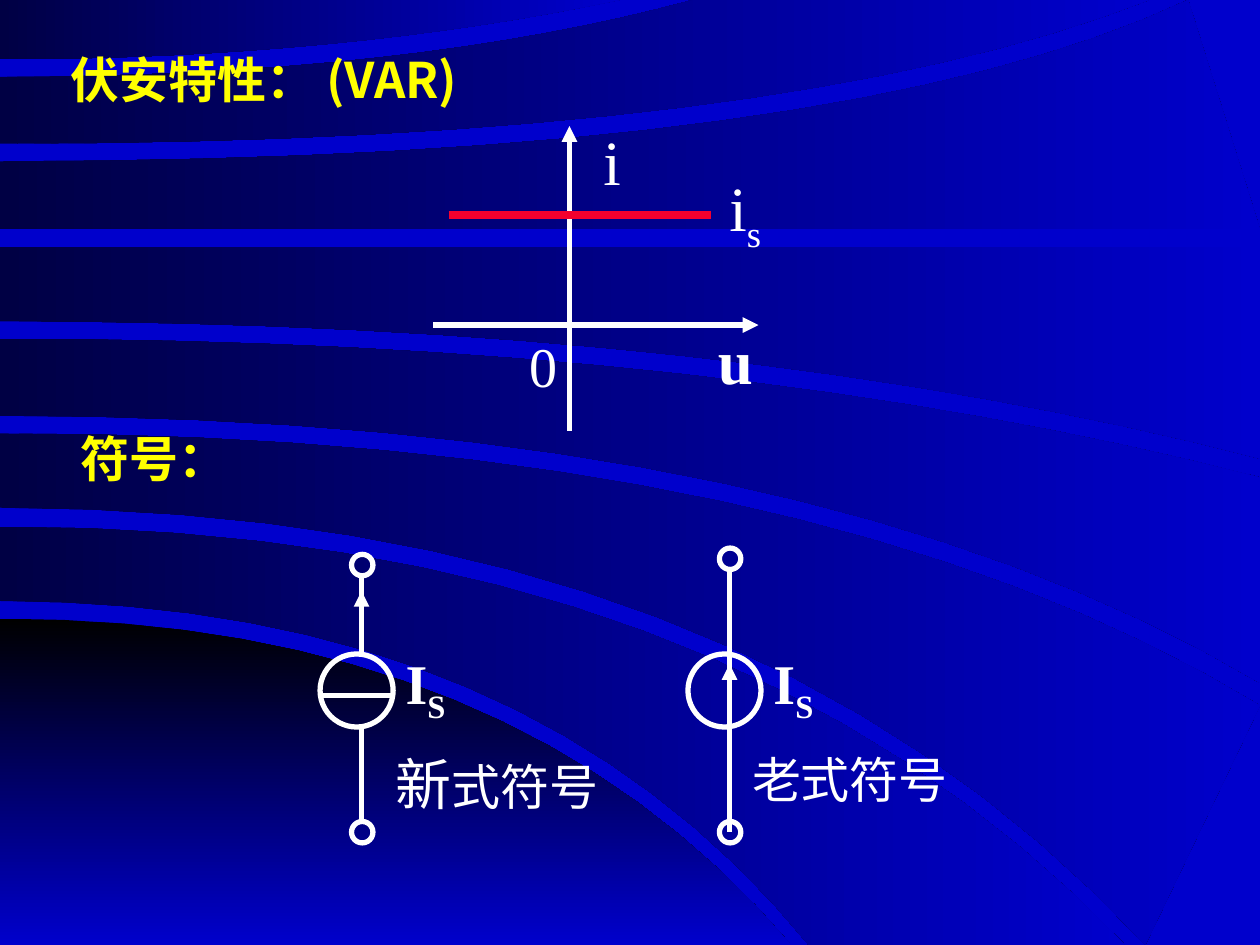
from dataclasses import dataclass

from lxml import etree
from pptx import Presentation
from pptx.dml.color import RGBColor
from pptx.enum.shapes import MSO_CONNECTOR, MSO_SHAPE
from pptx.enum.text import MSO_ANCHOR, MSO_AUTO_SIZE, PP_ALIGN
from pptx.oxml.ns import qn
from pptx.util import Inches, Pt

STRAIGHT = MSO_CONNECTOR.STRAIGHT
OVAL = MSO_SHAPE.OVAL
MIDDLE = MSO_ANCHOR.MIDDLE
LEFT = PP_ALIGN.LEFT
GROW = MSO_AUTO_SIZE.SHAPE_TO_FIT_TEXT


@dataclass(frozen=True)
class Theme:
    white: str = "FFFFFF"
    yellow: str = "FFFF00"
    red: str = "F4002E"
    blue: str = "0000CC"
    navy: str = "000044"
    black: str = "000000"
    latin: str = "Times New Roman"
    asian: str = "Noto Sans CJK SC"
    small: int = 28
    medium: int = 32
    large: int = 36
    stroke: float = 3
    thick: float = 4.5


@dataclass(frozen=True)
class Edge:
    level: float
    bend: float
    end_x: float
    end_y: float

    def points(self, steps=16):
        ratios = [step / steps for step in range(steps + 1)]
        return [(2 * t * (1 - t) * self.bend + t * t * self.end_x,
                 self.level + t * t * (self.end_y - self.level)) for t in ratios]


def flat(level, end):
    return Edge(level, end / 2, end, level)


THEME = Theme()
WIDTH, HEIGHT = 10, 7.5
HILL = (Edge(4.91, 4.07, 6.28, HEIGHT), flat(HEIGHT, 6.28))
BANDS = [
    (Edge(4.18, 5.76, 8.93, HEIGHT), Edge(4.77, 4.2, 6.42, HEIGHT)),
    (Edge(3.44, 6.45, WIDTH, 5.6), Edge(4.03, 5.89, 9.09, HEIGHT)),
    (Edge(2.69, 5.75, WIDTH, 3.79), Edge(3.3, 6.44, WIDTH, 5.42)),
    (flat(1.96, WIDTH), Edge(2.55, 5.82, WIDTH, 3.64)),
    (Edge(1.28, 6.72, 9.43, 0), flat(1.82, WIDTH)),
    (Edge(0.61, 3.26, 5.5, 0), Edge(1.14, 6.22, 9.12, 0)),
    (flat(0, 4.92), Edge(0.47, 2.68, 4.92, 0)),
]


def rgb(color):
    return RGBColor.from_string(color)


def add_area(shapes, edges, start, end, angle):
    upper, lower = edges
    outline = upper.points() + lower.points()[::-1]
    corners = [(Inches(x), Inches(y)) for x, y in outline]
    builder = shapes.build_freeform(*corners[0], scale=1.0)
    builder.add_line_segments(corners[1:], close=True)
    area = builder.convert_to_shape()
    area.shadow.inherit = False
    area.line.fill.background()
    area.fill.gradient()
    area.fill.gradient_angle = angle
    for stop, color in zip(area.fill.gradient_stops, (start, end)):
        stop.color.rgb = rgb(color)


def add_line(shapes, start, end, color=THEME.white, width=THEME.stroke, arrow=False):
    line = shapes.add_connector(STRAIGHT, *map(Inches, start + end))
    line.line.color.rgb = rgb(color)
    line.line.width = Pt(width)
    properties = line.element.spPr
    if arrow:
        etree.SubElement(properties.find(qn("a:ln")), qn("a:tailEnd"), type="triangle")
    etree.SubElement(properties, qn("a:effectLst"))


def add_circle(shapes, left, top, size):
    circle = shapes.add_shape(OVAL, *map(Inches, (left, top, size, size)))
    circle.shadow.inherit = False
    circle.fill.background()
    circle.line.color.rgb = rgb(THEME.white)
    circle.line.width = Pt(THEME.stroke)


def add_span(para, text, size, color=THEME.white, bold=False, latin=THEME.latin, sub=False):
    span = para.add_run()
    span.text = text
    span.font.size = Pt(size)
    span.font.bold = bold
    span.font.name = latin
    span.font.color.rgb = rgb(color)
    properties = span.font._element
    etree.SubElement(properties, qn("a:ea"), typeface=THEME.asian)
    if sub:
        properties.set("baseline", "-25000")


def add_label(shapes, place, spans, **style):
    box = shapes.add_textbox(*map(Inches, place))
    frame = box.text_frame
    frame.word_wrap = True
    frame.auto_size = GROW
    for order, (text, size) in enumerate(spans):
        sub = order > 0 and text.lower() == "s"
        add_span(frame.paragraphs[0], text, size, sub=sub, **style)


def add_title(page, text):
    title = page.shapes.title
    title.left, title.top, title.width, title.height = map(Inches, (0.37, 0, 8.5, 1.25))
    frame = title.text_frame
    frame.vertical_anchor = MIDDLE
    frame.margin_left = Inches(0.19)
    para = frame.paragraphs[0]
    para.alignment = LEFT
    add_span(para, text, THEME.small, THEME.yellow, True, THEME.asian)
    title.element.getparent().append(title.element)


def add_axes(shapes):
    add_label(shapes, (4.1, 2.58, 0.58, 0.63), [("0", THEME.medium)])
    add_line(shapes, (4.52, 3.42), (4.52, 1), arrow=True)
    add_line(shapes, (3.44, 2.58), (6.02, 2.58), arrow=True)
    add_label(shapes, (4.69, 0.92, 0.75, 0.7), [("i", THEME.large)])
    add_label(shapes, (5.6, 2.5, 0.67, 0.7), [("u", THEME.large)], bold=True)


def add_source(shapes, left, terminal_top, wires, arrow, caption_left, caption):
    axis = left + 0.33
    add_circle(shapes, left, 5.19, 0.58)
    for start, end in wires:
        add_line(shapes, (axis, start), (axis, end))
    add_line(shapes, (axis, arrow[0]), (axis, arrow[1]), arrow=True)
    for top in (terminal_top, 6.52):
        add_circle(shapes, left + 0.25, top, 0.17)
    add_label(shapes, (left + 0.58, 5.1, 0.75, 0.63),
              [("I", THEME.medium), ("S", THEME.medium)], bold=True)
    add_label(shapes, (caption_left, 5.9, 2.25, 0.6), caption)


def main():
    deck = Presentation()
    deck.slide_width, deck.slide_height = Inches(WIDTH), Inches(HEIGHT)
    page = deck.slides.add_slide(deck.slide_layouts[5])
    shapes = page.shapes
    page.background.fill.solid()
    page.background.fill.fore_color.rgb = rgb(THEME.blue)
    add_area(shapes, HILL, THEME.black, THEME.blue, 270)
    for band in BANDS:
        add_area(shapes, band, THEME.navy, THEME.blue, 0)
    add_title(page, "伏安特性： (VAR)")

    add_axes(shapes.add_group_shape().shapes)
    add_line(shapes, (3.56, 1.71), (5.64, 1.71), THEME.red, THEME.thick)
    add_label(shapes, (5.69, 1.29, 0.5, 0.7), [("i", THEME.large), ("s", THEME.large)])
    add_label(shapes, (0.54, 3.35, 3, 0.7), [("符号：", THEME.small)],
              color=THEME.yellow, bold=True)

    add_source(shapes.add_group_shape().shapes, 5.46, 4.35, [(4.52, 6.6)],
               (5.69, 5.27), 5.87, [("老式符号", THEME.small)])
    modern = shapes.add_group_shape().shapes
    add_source(modern, 2.54, 4.4, [(5.19, 4.57), (6.52, 5.77)],
               (5.1, 4.69), 3.04, [("新", THEME.medium), ("式符号", THEME.small)])
    add_line(modern, (2.54, 5.52), (3.12, 5.52))
    deck.save("out.pptx")


if __name__ == "__main__":
    main()
